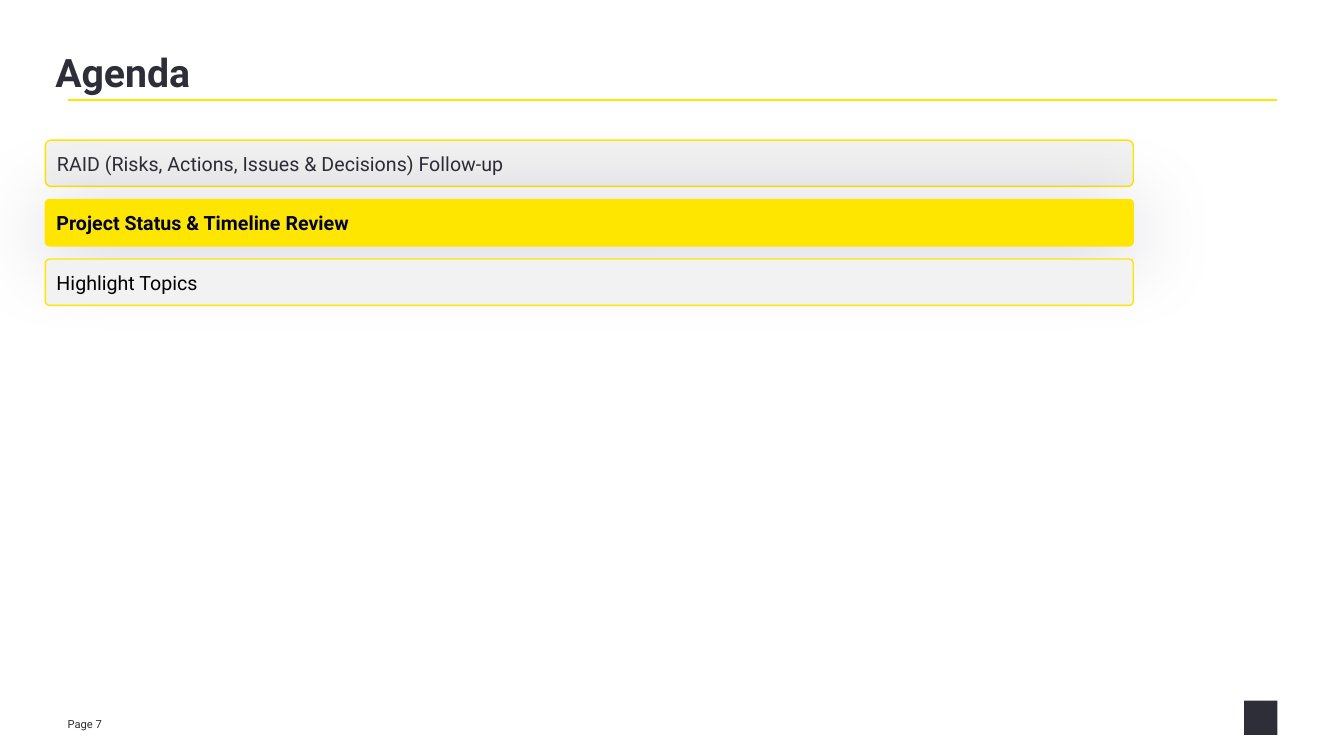
from lxml import etree
from pptx import Presentation
from pptx.dml.color import RGBColor
from pptx.enum.shapes import MSO_CONNECTOR, MSO_SHAPE
from pptx.enum.text import MSO_ANCHOR, PP_ALIGN
from pptx.oxml.ns import qn
from pptx.util import Inches, Pt

ROUNDED, RECTANGLE = MSO_SHAPE.ROUNDED_RECTANGLE, MSO_SHAPE.RECTANGLE
STRAIGHT = MSO_CONNECTOR.STRAIGHT
TOP, MIDDLE = MSO_ANCHOR.TOP, MSO_ANCHOR.MIDDLE
LEFT = PP_ALIGN.LEFT

# Content
TITLE = "Agenda"
PAGE_LABEL = "Page 7"
FONT = "Roboto"
YELLOW, GREY, CHARCOAL, NAVY, BLACK = "FFE600", "F2F2F2", "2E2E38", "030436", "000000"
AGENDA = [  # topic, fill, text colour, corner, current topic
    ("RAID (Risks, Actions, Issues & Decisions) Follow-up", GREY, CHARCOAL, 0.12, False),
    ("Project Status & Timeline Review", YELLOW, NAVY, 0.09, True),
    ("Highlight Topics", GREY, BLACK, 0.09, False),
]

# Layout in inches
MARGIN, RIGHT_EDGE = 0.67, 12.67
CONTENT_LEFT = 0.45
AGENDA_TOP, AGENDA_STEP = 1.39, 0.59
TOPIC_WIDTH, TOPIC_HEIGHT = 10.79, 0.46


def colour(value):
    return RGBColor.from_string(value)


def write(shape, text, size, text_colour, bold=False, anchor=MIDDLE):
    frame = shape.text_frame
    frame.word_wrap = True
    frame.vertical_anchor = anchor
    paragraph = frame.paragraphs[0]
    paragraph.text = text
    paragraph.alignment = LEFT
    font = paragraph.font
    font.name, font.size, font.bold = FONT, Pt(size), bold
    font.color.rgb = colour(text_colour)
    return frame


def add_glow(shape):
    """Wide soft shadow, falling straight down."""
    effects = shape._element.spPr.find(qn("a:effectLst"))
    shadow = etree.SubElement(effects, qn("a:outerShdw"), blurRad=str(Pt(60)),
                              dist=str(Pt(6)), dir=str(90 * 60000),
                              algn="t", rotWithShape="0")
    tint = etree.SubElement(shadow, qn("a:srgbClr"), val=NAVY)
    etree.SubElement(tint, qn("a:alpha"), val="20000")


def add_block(kind, left, top, width, height, fill):
    block = slide.shapes.add_shape(kind, Inches(left), Inches(top),
                                   Inches(width), Inches(height))
    block.shadow.inherit = False
    block.fill.solid()
    block.fill.fore_color.rgb = colour(fill)
    return block


prs = Presentation()
prs.slide_width, prs.slide_height = Inches(13.33), Inches(7.5)
slide = prs.slides.add_slide(prs.slide_layouts[6])

# Plain corner mark
corner_mark = add_block(RECTANGLE, 12.34, 6.95, 0.33, 0.34, CHARCOAL)
corner_mark.line.fill.background()

# Rule under the title
rule = slide.shapes.add_connector(STRAIGHT, Inches(MARGIN), Inches(0.99),
                                  Inches(RIGHT_EDGE), Inches(0.99))
rule.line.color.rgb = colour(YELLOW)
rule.line.width = Pt(1.5)
etree.SubElement(rule._element.spPr, qn("a:effectLst"))

# Page label
page = slide.shapes.add_textbox(Inches(MARGIN), Inches(7.08), Inches(0.72), Inches(0.2))
page_frame = write(page, PAGE_LABEL, 8, CHARCOAL)
page_frame.margin_left = page_frame.margin_right = 0
page_frame.margin_top = page_frame.margin_bottom = 0

# Title
title = slide.shapes.add_textbox(Inches(CONTENT_LEFT), Inches(0.43),
                                 Inches(12.4), Inches(0.43))
title_frame = write(title, TITLE, 28, CHARCOAL, bold=True, anchor=TOP)
title_frame.paragraphs[0].space_after = Pt(6)

# Agenda topics
for row, (topic, fill, text_colour, corner, current) in enumerate(AGENDA):
    bar = add_block(ROUNDED, CONTENT_LEFT, AGENDA_TOP + row * AGENDA_STEP,
                    TOPIC_WIDTH, TOPIC_HEIGHT, fill)
    bar.adjustments[0] = corner
    bar.line.color.rgb = colour(YELLOW)
    bar.line.width = Pt(1)
    write(bar, topic, 14, text_colour, bold=current)
    if current:
        add_glow(bar)

prs.save("out.pptx")
